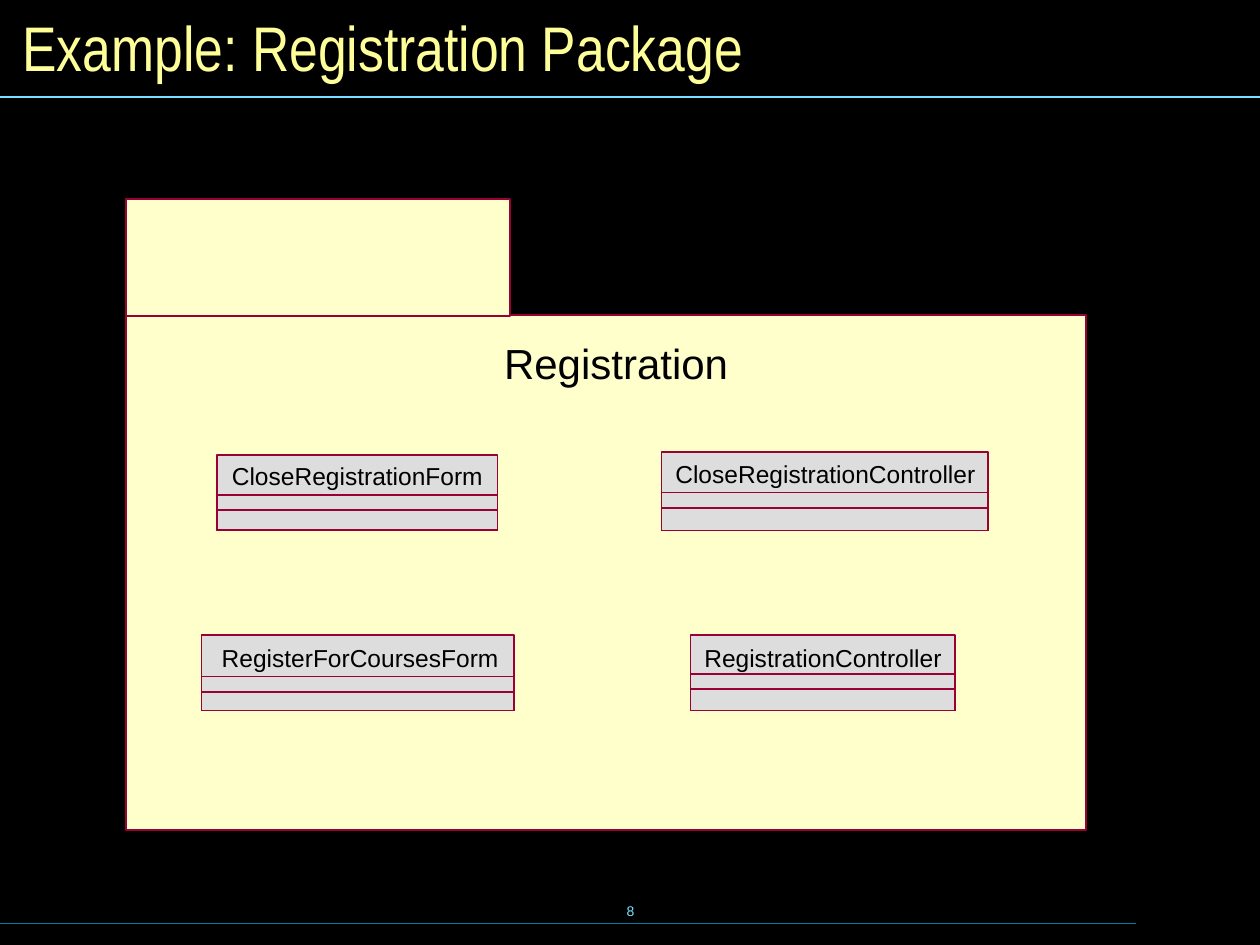
from dataclasses import dataclass

from lxml import etree
from pptx import Presentation
from pptx.dml.color import RGBColor
from pptx.enum import shapes, text
from pptx.oxml import ns
from pptx.util import Inches, Pt

COLORS = {
    "background": "000000",
    "title": "FFFF99",
    "rule": "73E1FF",
    "footer_rule": "007E9F",
    "package": "FFFFCC",
    "class": "DDDDDD",
    "border": "990033",
    "text": "000000",
}


@dataclass
class ClassBox:
    """A UML class: outer box, name position, and the tops of its compartments."""
    name: str
    left: float
    top: float
    width: float
    bottom: float
    name_left: float
    name_top: float
    name_width: float
    attributes_top: float

    @property
    def operations_top(self) -> float:
        return self.attributes_top + 0.12


CLASSES = [
    ClassBox("CloseRegistrationForm", 1.72, 3.61, 2.23, 4.21, 1.84, 3.66, 2.05, 3.93),
    ClassBox("CloseRegistrationController", 5.25, 3.59, 2.59, 4.21, 5.36, 3.64, 2.42, 3.91),
    ClassBox("RegisterForCoursesForm", 1.6, 5.04, 2.48, 5.64, 1.76, 5.1, 2.23, 5.37),
    ClassBox("RegistrationController", 5.48, 5.04, 2.1, 5.64, 5.59, 5.1, 1.93, 5.35),
]


def rgb(key: str) -> RGBColor:
    return RGBColor.from_string(COLORS[key])


def add_box(s, left: float, top: float, width: float, height: float, fill: str):
    sp = s.shapes.add_shape(shapes.MSO_SHAPE.RECTANGLE, Inches(left), Inches(top),
                            Inches(width), Inches(height))
    sp.shadow.inherit = False
    sp.fill.solid()
    sp.fill.fore_color.rgb = rgb(fill)
    sp.line.color.rgb = rgb("border")
    sp.line.width = Pt(1)
    return sp


def add_rule(s, y: float, right: float, color: str):
    line = s.shapes.add_connector(shapes.MSO_CONNECTOR.STRAIGHT, Inches(0), Inches(y),
                                  Inches(right), Inches(y))
    line.line.color.rgb = rgb(color)
    line.line.width = Pt(1)
    etree.SubElement(line._element.spPr, ns.qn("a:effectLst"))


def add_text(s, words: str, left: float, top: float, width: float, height: float,
             size: float, color: str = "text", font: str = "Arial", wrap: bool = False,
             padded: bool = False, align=text.PP_ALIGN.LEFT):
    sp = s.shapes.add_textbox(Inches(left), Inches(top), Inches(width), Inches(height))
    tf = sp.text_frame
    tf.word_wrap = wrap
    if padded:
        tf.vertical_anchor = text.MSO_ANCHOR.MIDDLE
    else:
        tf.auto_size = text.MSO_AUTO_SIZE.SHAPE_TO_FIT_TEXT
        tf.margin_left = tf.margin_right = tf.margin_top = tf.margin_bottom = 0
    p = tf.paragraphs[0]
    p.text = words
    p.alignment = align
    p.font.size = Pt(size)
    p.font.name = font
    p.font.color.rgb = rgb(color)
    return sp


def add_class(s, c: ClassBox):
    add_box(s, c.left, c.top, c.width, c.bottom - c.top, "class")
    label = add_text(s, c.name, c.name_left, c.name_top, c.name_width, 0.23, 14)
    label.fill.solid()
    label.fill.fore_color.rgb = rgb("class")
    for top in (c.attributes_top, c.operations_top):
        add_box(s, c.left, top, c.width, c.bottom - top, "class")


def main():
    prs = Presentation()
    prs.slide_width, prs.slide_height = Inches(10), Inches(7.5)
    s = prs.slides.add_slide(prs.slide_layouts[6])
    s.background.fill.solid()
    s.background.fill.fore_color.rgb = rgb("background")

    # Slide number, rules and title
    add_text(s, "8", 3.42, 6.98, 3.17, 0.5, 8, "rule", padded=True,
             align=text.PP_ALIGN.CENTER)
    add_rule(s, 7.33, 9.02, "footer_rule")
    add_rule(s, 0.77, 10, "rule")
    add_text(s, "Example: Registration Package", 0.08, 0.08, 9.84, 0.58, 36, "title",
             "Arial Narrow", wrap=True, padded=True)

    # Package body, tab and name
    add_box(s, 1, 2.5, 7.62, 4.09, "package")
    add_box(s, 1, 1.58, 3.05, 0.93, "package")
    add_text(s, "Registration", 4, 2.68, 1.78, 0.4, 24)

    # Classes in the package
    for c in CLASSES:
        add_class(s, c)

    prs.save("out.pptx")


if __name__ == "__main__":
    main()
